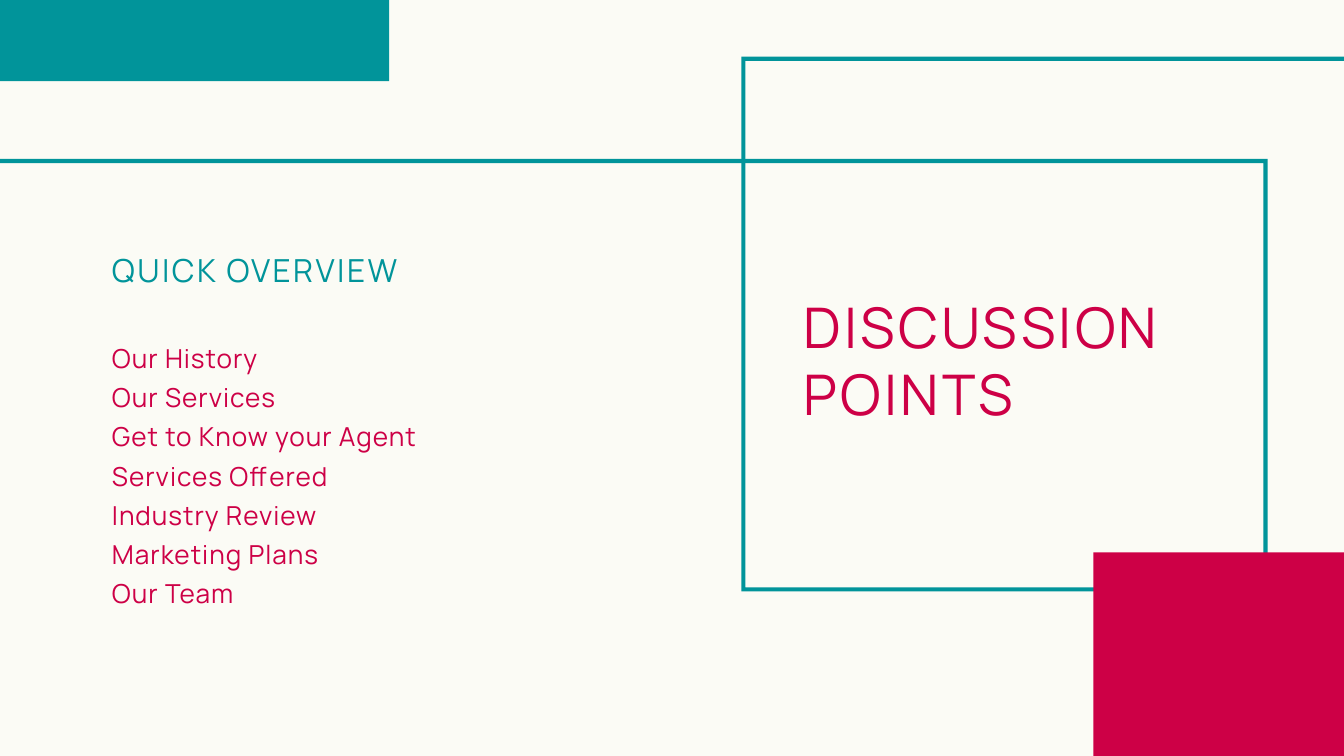
from pptx import Presentation
from pptx.dml.color import RGBColor
from pptx.enum.shapes import MSO_SHAPE
from pptx.enum.text import MSO_ANCHOR, MSO_AUTO_SIZE, PP_ALIGN
from pptx.util import Pt

EMU_PER_PX = 9525
CREAM = RGBColor(0xFB, 0xFB, 0xF5)
TEAL = RGBColor(0x01, 0x94, 0x9A)
CRIMSON = RGBColor(0xCD, 0x00, 0x46)

TOPICS = [
    "Our History",
    "Our Services",
    "Get to Know your Agent",
    "Services Offered",
    "Industry Review",
    "Marketing Plans",
    "Our Team",
]


def px(*lengths):
    return [length * EMU_PER_PX for length in lengths]


class SlideBuilder:
    font_name = "Manrope"
    frame_width = 6

    def __init__(self, slide):
        self.slide = slide
        slide.background.fill.solid()
        slide.background.fill.fore_color.rgb = CREAM

    def paint(self, shape, color):
        shape.shadow.inherit = False
        shape.fill.solid()
        shape.fill.fore_color.rgb = color
        shape.line.fill.background()

    def block(self, left, top, width, height, color):
        shape = self.slide.shapes.add_shape(
            MSO_SHAPE.RECTANGLE, *px(left, top, width, height)
        )
        self.paint(shape, color)

    def frame(self, left, top, width, height, color):
        right, bottom, inset = left + width, top + height, self.frame_width
        builder = self.slide.shapes.build_freeform(left, top, scale=EMU_PER_PX)
        builder.add_line_segments([(right, top), (right, bottom), (left, bottom)])
        left, top, right, bottom = left + inset, top + inset, right - inset, bottom - inset
        builder.move_to(left, top)
        builder.add_line_segments([(left, bottom), (right, bottom), (right, top)])
        self.paint(builder.convert_to_shape(), color)

    def title(self, text, box, **style):
        self.set_text(self.slide.shapes.title, [text], box, **style)

    def text(self, lines, box, **style):
        self.set_text(self.slide.shapes.add_textbox(*px(*box)), lines, box, **style)

    def set_text(self, shape, lines, box, size, leading, tracking, color):
        shape.left, shape.top, shape.width, shape.height = px(*box)
        frame = shape.text_frame
        frame.text = "\n".join(lines)
        frame.word_wrap = True
        frame.auto_size = MSO_AUTO_SIZE.SHAPE_TO_FIT_TEXT
        frame.vertical_anchor = MSO_ANCHOR.TOP
        frame.margin_left = frame.margin_top = 0
        frame.margin_right = frame.margin_bottom = 0
        for paragraph in frame.paragraphs:
            paragraph.alignment = PP_ALIGN.LEFT
            paragraph.line_spacing = Pt(leading)
            for run in paragraph.runs:
                run.font.name = self.font_name
                run.font.size = Pt(size)
                run.font.color.rgb = color
                run._r.get_or_add_rPr().set("spc", str(round(tracking * 100)))


def main():
    presentation = Presentation()
    presentation.slide_width, presentation.slide_height = px(1920, 1080)
    title_only = presentation.slide_layouts[5]
    builder = SlideBuilder(presentation.slides.add_slide(title_only))

    builder.frame(-80, 227, 1891, 1126, TEAL)
    builder.frame(1059, 81, 1024, 764, TEAL)
    builder.title("DISCUSSION POINTS", (1148, 420, 580, 188),
                  size=60, leading=70.8, tracking=3.5, color=CRIMSON)
    builder.text(["QUICK OVERVIEW"], (160, 358, 588, 56),
                 size=34, leading=40.8, tracking=2.7, color=TEAL)
    builder.text(TOPICS, (160, 478, 588, 380),
                 size=28, leading=42, tracking=1.1, color=CRIMSON)
    builder.block(1562, 789, 396, 335, CRIMSON)
    builder.block(0, -116, 556, 232, TEAL)

    presentation.save("out.pptx")


if __name__ == "__main__":
    main()
